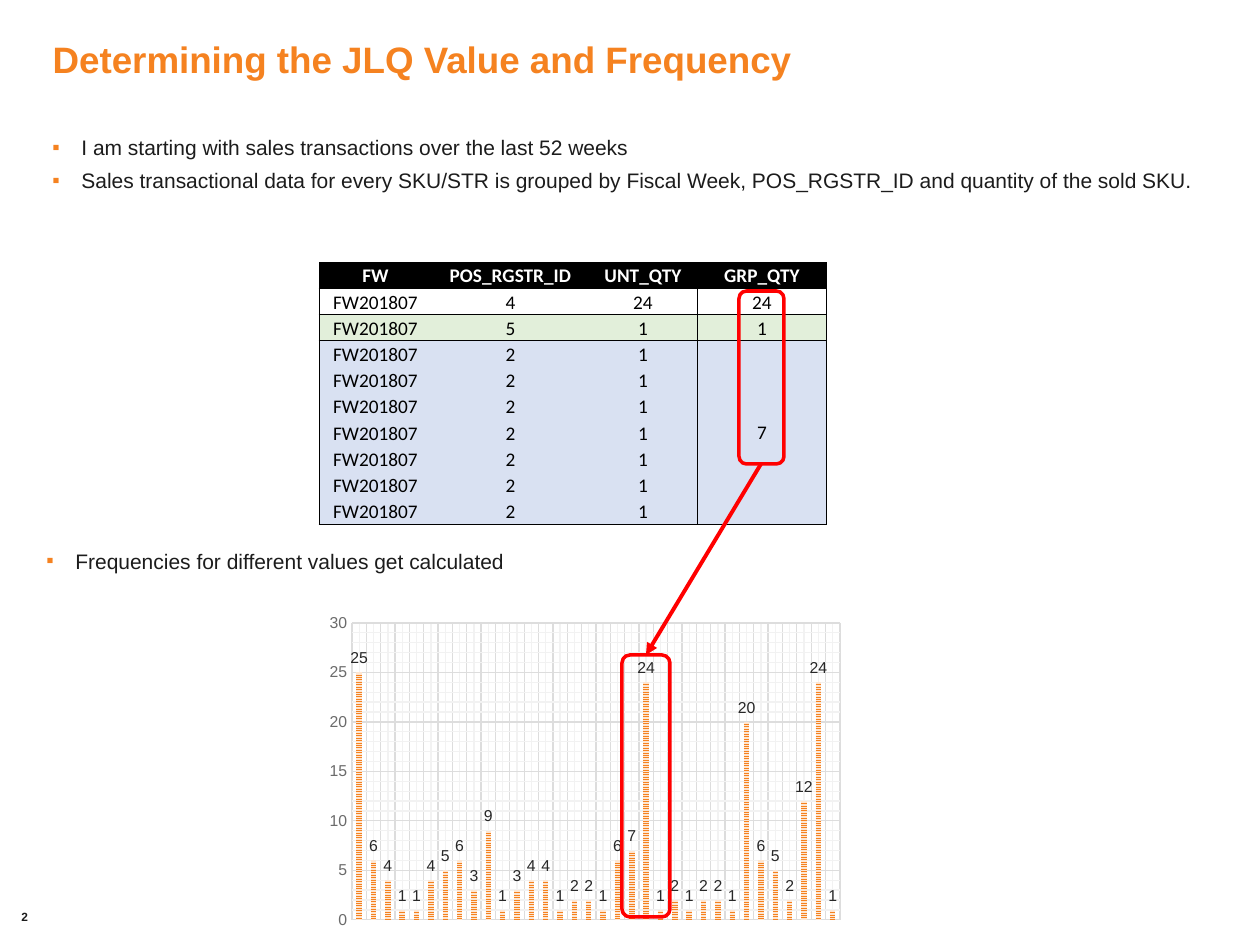
from lxml.etree import SubElement
from pptx import Presentation
from pptx.chart.data import CategoryChartData
from pptx.dml.color import RGBColor
from pptx.enum.chart import XL_CHART_TYPE, XL_LABEL_POSITION, XL_TICK_MARK
from pptx.enum.dml import MSO_PATTERN
from pptx.enum.shapes import MSO_CONNECTOR, MSO_SHAPE
from pptx.enum.text import MSO_ANCHOR, MSO_AUTO_SIZE, PP_ALIGN
from pptx.oxml import parse_xml
from pptx.oxml.ns import nsdecls, qn
from pptx.util import Emu, Pt

# Content
TITLE = "Determining the JLQ Value and Frequency"
INTRO = [
    "I am starting with sales transactions over the last 52 weeks",
    "Sales transactional data for every SKU/STR is grouped by Fiscal Week, "
    "POS_RGSTR_ID and quantity of the sold SKU.",
]
FREQUENCY_NOTE = ["Frequencies for different values get calculated"]
PAGE_NUMBER = "2"
WEEK = "FW201807"
HEADER = ("FW", "POS_RGSTR_ID", "UNT_QTY", "GRP_QTY")
SALES = [(WEEK, "4", "24", "24"), (WEEK, "5", "1", "1"), (WEEK, "2", "1", "7")]
SALES += [(WEEK, "2", "1", "")] * 6
FREQUENCIES = [25, 6, 4, 1, 1, 4, 5, 6, 3, 9, 1, 3, 4, 4, 1, 2, 2, 1, 6, 7, 24,
               1, 2, 1, 2, 2, 1, 20, 6, 5, 2, 12, 24, 1]

# Theme
THEME = {
    "font": "Arial", "table_font": "Calibri",
    "accent": "F58220", "accent_pale": "FDE6D2", "text": "1C1C1C",
    "label": "272727", "axis": "6B6B6B", "grid": "DDDDDD", "minor_grid": "F2F2F2",
    "black": "000000", "white": "FFFFFF", "green": "E2EFDA", "blue": "D9E1F2",
    "mark": "FF0000",
    "title_size": 21, "body_size": 12, "table_size": 11, "chart_size": 10,
    "axis_size": 9, "number_size": 6.8,
}

# Places in pixels: left, top, width, height
SCALE = 914400 / 126
TITLE_BOX = (40, 0, 1134, 118)
INTRO_BOX = (40, 128, 1168, 69)
NOTE_BOX = (34, 542, 956, 49)
NUMBER_BOX = (9, 892, 294, 50)
TABLE_BOX = (319, 262, 508, 262)
COLUMN_WIDTHS = (113, 157, 108, 130)
CHART_BOX = (319, 607, 532, 328)
PLOT_BOX = (352, 623, 488, 297)
MARKS = [(739, 291, 45, 173), (622, 655, 48, 262)]
INDENT = 29
RULED_ROWS = (0, 1, 2, len(SALES))
GROUP_START = 3


def px(value):
    return Emu(round(value * SCALE))


def place(box):
    return [px(value) for value in box]


def color(name):
    return RGBColor.from_string(THEME[name])


def style(font, size, ink, face="font", bold=False):
    font.name, font.size, font.bold = THEME[face], Pt(THEME[size]), bold
    font.color.rgb = color(ink)


def draw_line(line, ink, width):
    line.color.rgb = color(ink)
    line.width = Pt(width)


def add_bullet(para):
    para.space_after = Pt(4.5)
    props = para._p.get_or_add_pPr()
    props.set("marL", str(px(INDENT)))
    props.set("indent", str(-px(INDENT)))
    SubElement(SubElement(props, qn("a:buClr")), qn("a:srgbClr"), val=THEME["accent"])
    SubElement(props, qn("a:buFont"), typeface=THEME["font"])
    SubElement(props, qn("a:buChar"), char="▪")


def add_text(page, box, lines, size="body_size", bold=False, bullets=True,
             anchor=MSO_ANCHOR.TOP):
    frame = page.shapes.add_textbox(*place(box)).text_frame
    frame.word_wrap, frame.vertical_anchor = True, anchor
    for index, line in enumerate(lines):
        para = frame.paragraphs[0] if index == 0 else frame.add_paragraph()
        para.text = line
        if bullets:
            add_bullet(para)
        style(para.font, size, "text", bold=bold)


def set_borders(cell, sides):
    props = cell._tc.get_or_add_tcPr()
    for index, side in enumerate("LRTB"):
        paint = (f'<a:solidFill><a:srgbClr val="{THEME["black"]}"/></a:solidFill>'
                 if side in sides else "<a:noFill/>")
        props.insert(index, parse_xml(
            f'<a:ln{side} {nsdecls("a")} w="{Pt(0.5)}">{paint}</a:ln{side}>'))


def add_sales_table(page):
    rows = [HEADER, *SALES]
    table = page.shapes.add_table(len(rows), len(HEADER), *place(TABLE_BOX)).table
    table.first_row = table.horz_banding = False
    for column, width in zip(table.columns, COLUMN_WIDTHS):
        column.width = px(width)
    last = len(HEADER) - 1
    fills = ["black", None, "green"]
    for r, values in enumerate(rows):
        table.rows[r].height = px(TABLE_BOX[3] / len(rows))
        fill = fills[r] if r < len(fills) else "blue"
        for c, value in enumerate(values):
            cell = table.cell(r, c)
            cell.margin_left = cell.margin_right = cell.margin_top = px(1)
            cell.margin_bottom = 0
            grouped = c == last and r >= GROUP_START
            cell.vertical_anchor = MSO_ANCHOR.MIDDLE if grouped else MSO_ANCHOR.BOTTOM
            para = cell.text_frame.paragraphs[0]
            para.text, para.alignment = value, PP_ALIGN.CENTER
            style(para.font, "table_size", "black" if r else "white", "table_font", r == 0)
            if fill:
                cell.fill.solid()
                cell.fill.fore_color.rgb = color(fill)
            else:
                cell.fill.background()
            sides = "B" if r in RULED_ROWS or grouped else ""
            if r:
                sides += "T" if r - 1 in RULED_ROWS else ""
                sides += "L" if c in (0, last) else ""
                sides += "R" if c >= last - 1 else ""
            set_borders(cell, sides)
    table.cell(GROUP_START, last).merge(table.cell(len(rows) - 1, last))


def add_frequency_chart(page):
    data = CategoryChartData()
    data.categories = [str(i + 1) for i in range(len(FREQUENCIES))]
    data.add_series("Series 1", FREQUENCIES)
    chart = page.shapes.add_chart(
        XL_CHART_TYPE.COLUMN_CLUSTERED, *place(CHART_BOX), data).chart
    chart.has_legend = chart.has_title = False
    style(chart.font, "chart_size", "text")

    # Axes and grid
    for axis in (chart.category_axis, chart.value_axis):
        axis.has_major_gridlines = axis.has_minor_gridlines = True
        draw_line(axis.major_gridlines.format.line, "grid", 0.75)
        axis._element.find(qn("c:minorGridlines")).append(parse_xml(
            f'<c:spPr {nsdecls("c", "a")}><a:ln w="{Pt(0.75)}"><a:solidFill>'
            f'<a:srgbClr val="{THEME["minor_grid"]}"/></a:solidFill></a:ln></c:spPr>'))
    chart.category_axis.visible = False
    scale = chart.value_axis
    scale.minimum_scale, scale.maximum_scale = 0, 30
    scale.major_unit, scale.minor_unit = 5, 1
    scale.major_tick_mark = scale.minor_tick_mark = XL_TICK_MARK.NONE
    scale.format.line.fill.background()
    style(scale.tick_labels.font, "axis_size", "axis")

    # Columns and labels
    plot = chart.plots[0]
    plot.gap_width, plot.overlap, plot.vary_by_categories = 164, -22, False
    fill = plot.series[0].format.fill
    fill.patterned()
    fill.pattern = MSO_PATTERN.NARROW_HORIZONTAL
    fill.fore_color.rgb, fill.back_color.rgb = color("accent"), color("accent_pale")
    plot.has_data_labels = True
    labels = plot.data_labels
    labels.show_value, labels.position = True, XL_LABEL_POSITION.OUTSIDE_END
    style(labels.font, "axis_size", "label")

    # Plot area position as shares of the chart
    left, top, width, height = CHART_BOX
    shares = {"x": (PLOT_BOX[0] - left) / width, "y": (PLOT_BOX[1] - top) / height,
              "w": PLOT_BOX[2] / width, "h": PLOT_BOX[3] / height}
    area = chart._chartSpace.chart.plotArea
    for old in area.findall(qn("c:layout")):
        area.remove(old)
    modes = '<c:layoutTarget val="inner"/><c:xMode val="edge"/><c:yMode val="edge"/>'
    sizes = "".join(f'<c:{key} val="{share:.4f}"/>' for key, share in shares.items())
    area.insert(0, parse_xml(f'<c:layout {nsdecls("c")}><c:manualLayout>{modes}{sizes}'
                             '</c:manualLayout></c:layout>'))


def add_marks(page):
    for box in MARKS:
        mark = page.shapes.add_shape(MSO_SHAPE.ROUNDED_RECTANGLE, *place(box))
        mark.shadow.inherit = False
        mark.fill.background()
        draw_line(mark.line, "mark", 2)
    (x1, y1, w1, h1), (x2, y2, w2, _) = MARKS
    ends = (x1 + w1 // 2, y1 + h1, x2 + w2 // 2, y2)
    arrow = page.shapes.add_connector(MSO_CONNECTOR.STRAIGHT, *place(ends))
    draw_line(arrow.line, "mark", 2.25)
    SubElement(arrow.line._get_or_add_ln(), qn("a:tailEnd"), type="triangle")
    SubElement(arrow._element.spPr, qn("a:effectLst"))


# Build the slide
deck = Presentation()
deck.slide_width, deck.slide_height = px(1260), px(945)
page = deck.slides.add_slide(deck.slide_layouts[5])
title = page.shapes.title
title.left, title.top, title.width, title.height = place(TITLE_BOX)
title.text_frame.auto_size = MSO_AUTO_SIZE.NONE
title.text_frame.vertical_anchor = MSO_ANCHOR.MIDDLE
heading = title.text_frame.paragraphs[0]
heading.text, heading.alignment = TITLE, PP_ALIGN.LEFT
style(heading.font, "title_size", "accent", bold=True)

add_text(page, INTRO_BOX, INTRO)
add_text(page, NUMBER_BOX, [PAGE_NUMBER], "number_size", True, False, MSO_ANCHOR.MIDDLE)
add_text(page, NOTE_BOX, FREQUENCY_NOTE)
add_sales_table(page)
add_frequency_chart(page)
add_marks(page)
deck.save("out.pptx")
